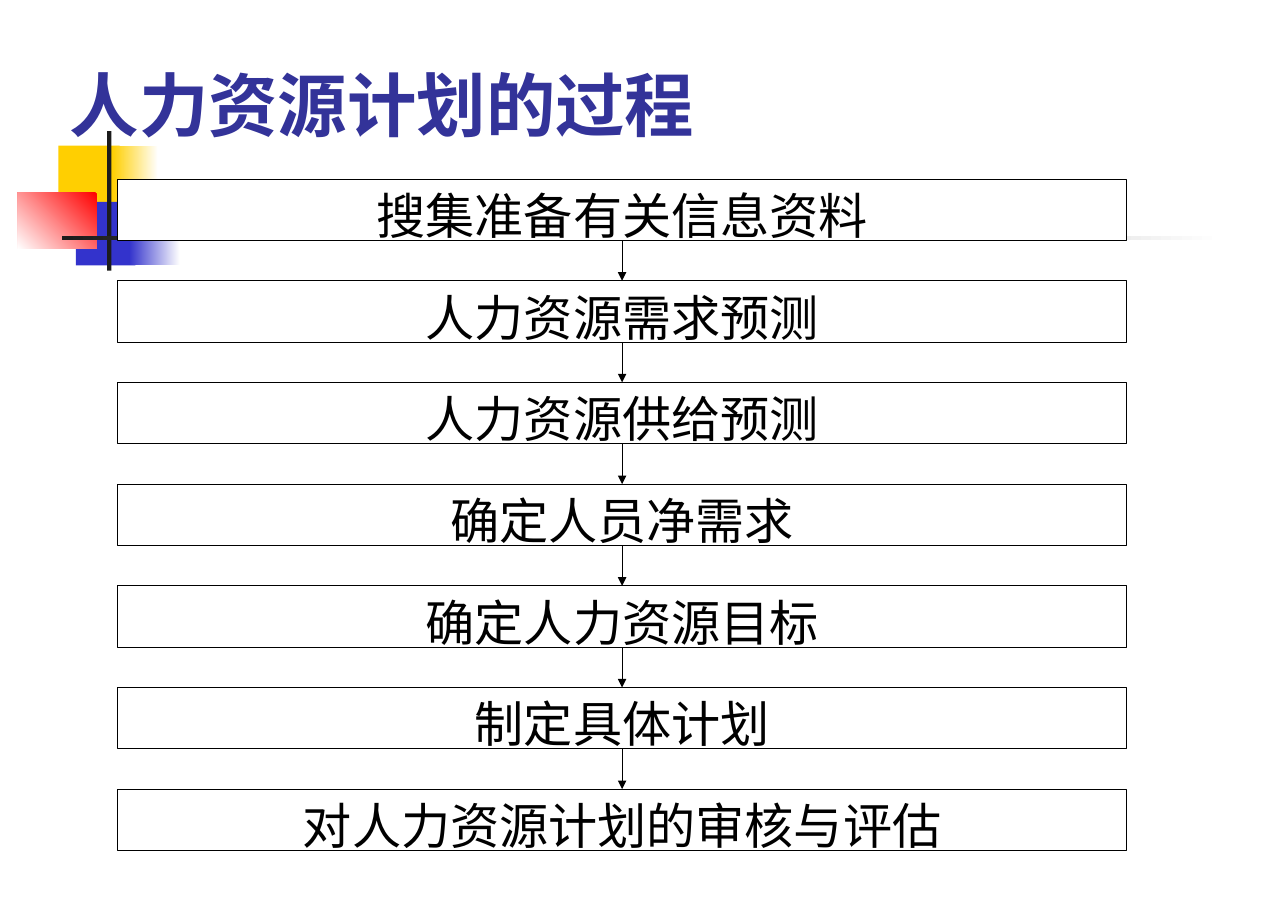
from dataclasses import dataclass
from itertools import pairwise

from lxml.etree import SubElement
from pptx import Presentation
from pptx.dml.color import RGBColor
from pptx.enum.lang import MSO_LANGUAGE_ID
from pptx.enum.shapes import MSO_CONNECTOR, MSO_SHAPE
from pptx.enum.text import MSO_ANCHOR, PP_ALIGN
from pptx.oxml.ns import qn
from pptx.util import Inches, Pt


@dataclass(frozen=True)
class Theme:
    white: str = "FFFFFF"
    black: str = "000000"
    title: str = "333399"
    yellow: str = "FFCF01"
    blue: str = "3333CC"
    red: str = "FF0000"
    rule: str = "1C1C1C"
    title_font: str = "Montserrat"
    step_font: str = "Times New Roman"
    title_size: float = 48
    step_size: float = 34
    line_width: float = 0.75


class SlideBuilder:
    def __init__(self, slide, theme):
        self.slide = slide
        self.theme = theme

    def block(self, left, top, width, height, color):
        """Rectangle with a plain fill and no outline."""
        block = self.slide.shapes.add_shape(
            MSO_SHAPE.RECTANGLE, Inches(left), Inches(top), Inches(width), Inches(height))
        block.shadow.inherit = False
        block.fill.solid()
        block.fill.fore_color.rgb = RGBColor.from_string(color)
        block.line.fill.background()
        return block

    def fade(self, left, top, width, height, start, end, angle=180):
        """Rectangle that fades from start to end."""
        fade = self.block(left, top, width, height, start)
        fade.fill.gradient()
        fade.fill.gradient_angle = angle
        for stop, color in zip(fade.fill.gradient_stops, (start, end)):
            stop.color.rgb = RGBColor.from_string(color)

    def set_text(self, frame, text, font, size, color, align, anchor, bold=False):
        frame.word_wrap = True
        frame.vertical_anchor = anchor
        frame.margin_left = frame.margin_right = Inches(0.12)
        frame.margin_top = frame.margin_bottom = Inches(0.06)
        frame.text = text
        paragraph = frame.paragraphs[0]
        paragraph.alignment = align
        for run in paragraph.runs:
            run.font.name = font
            run.font.size = Pt(size)
            run.font.bold = bold
            run.font.color.rgb = RGBColor.from_string(color)
            run.font.language_id = MSO_LANGUAGE_ID.SIMPLIFIED_CHINESE

    def title(self, left, top, width, height, text):
        heading = self.slide.shapes.add_textbox(
            Inches(left), Inches(top), Inches(width), Inches(height))
        self.set_text(heading.text_frame, text, self.theme.title_font, self.theme.title_size,
                      self.theme.title, PP_ALIGN.LEFT, MSO_ANCHOR.BOTTOM, bold=True)

    def step(self, left, top, width, height, text):
        step = self.block(left, top, width, height, self.theme.white)
        step.line.color.rgb = RGBColor.from_string(self.theme.black)
        step.line.width = Pt(self.theme.line_width)
        self.set_text(step.text_frame, text, self.theme.step_font, self.theme.step_size,
                      self.theme.black, PP_ALIGN.CENTER, MSO_ANCHOR.TOP)
        return step

    def arrow(self, upper, lower):
        """Arrow from the bottom of one step to the top of the next."""
        arrow = self.slide.shapes.add_connector(MSO_CONNECTOR.STRAIGHT, 0, 0, 0, 0)
        arrow.begin_connect(upper, 2)
        arrow.end_connect(lower, 0)
        arrow.line.color.rgb = RGBColor.from_string(self.theme.black)
        arrow.line.width = Pt(self.theme.line_width)
        properties = arrow._element.spPr
        SubElement(properties.get_or_add_ln(), qn("a:tailEnd"), type="triangle")
        SubElement(properties, qn("a:effectLst"))


STEPS = (
    "搜集准备有关信息资料",
    "人力资源需求预测",
    "人力资源供给预测",
    "确定人员净需求",
    "确定人力资源目标",
    "制定具体计划",
    "对人力资源计划的审核与评估",
)
FIRST_TOP, LAST_TOP = 1.72, 7.58


def main():
    deck = Presentation()
    deck.slide_width, deck.slide_height = Inches(12.37), Inches(8.75)
    theme = Theme()
    page = SlideBuilder(deck.slides.add_slide(deck.slide_layouts[6]), theme)

    # Corner ornament and rules
    page.block(0.56, 1.4, 0.59, 0.6, theme.yellow)
    page.fade(1.08, 1.4, 0.44, 0.6, theme.white, theme.yellow)
    page.block(0.73, 1.94, 0.57, 0.61, theme.blue)
    page.fade(1.24, 1.94, 0.49, 0.61, theme.white, theme.blue)
    page.fade(0.17, 1.85, 0.76, 0.54, theme.red, theme.white, angle=225)
    page.block(1.03, 1.26, 0.04, 1.34, theme.rule)
    page.fade(0.6, 2.27, 11.14, 0.04, theme.white, theme.rule)

    # Planning steps, evenly spaced, joined by arrows
    pitch = (LAST_TOP - FIRST_TOP) / (len(STEPS) - 1)
    steps = [page.step(1.13, FIRST_TOP + row * pitch, 9.69, 0.59, text)
             for row, text in enumerate(STEPS)]
    for upper, lower in pairwise(steps):
        page.arrow(upper, lower)

    # Title
    page.title(0.55, 0.29, 10.52, 1.17, "人力资源计划的过程")

    deck.save("out.pptx")


if __name__ == "__main__":
    main()
